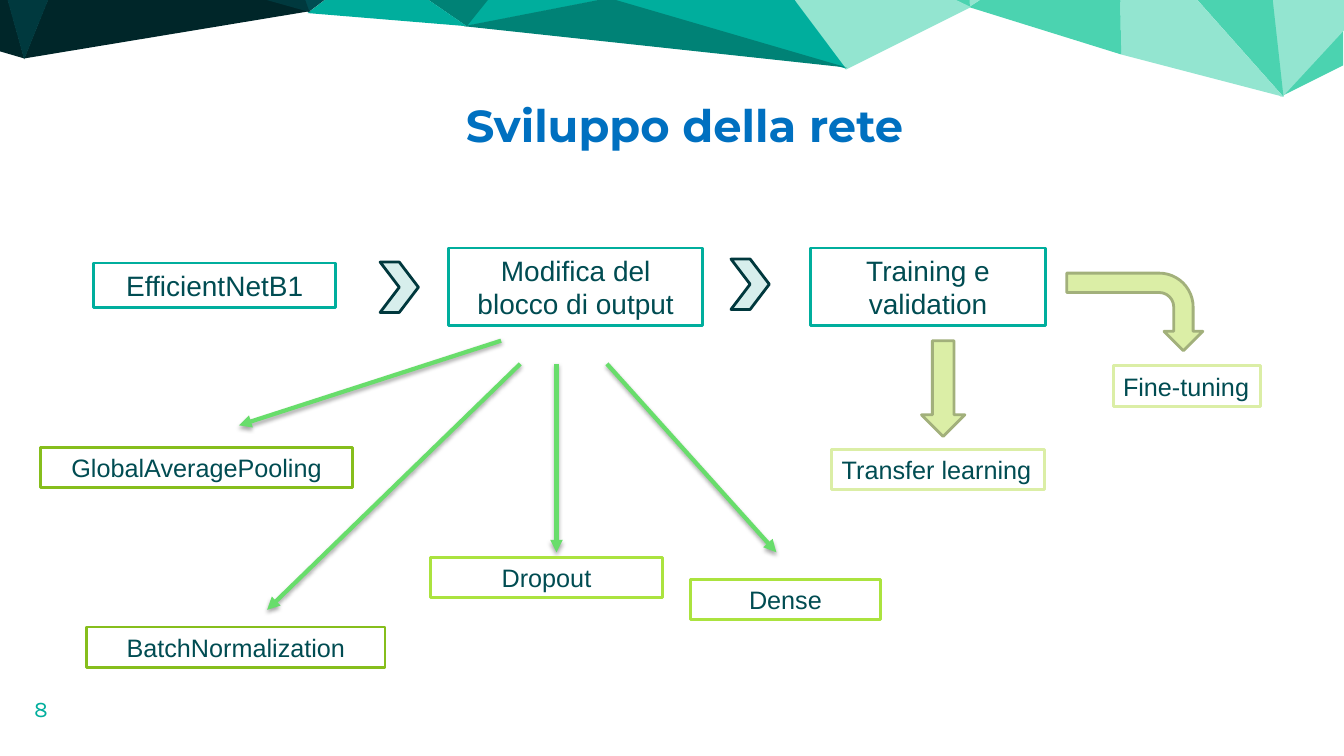
from lxml.etree import SubElement
from pptx import Presentation
from pptx.dml.color import RGBColor
from pptx.enum.shapes import MSO_CONNECTOR, MSO_SHAPE
from pptx.enum.text import MSO_ANCHOR, PP_ALIGN
from pptx.oxml.ns import qn
from pptx.util import Inches, Pt

WHITE = RGBColor(0xFF, 0xFF, 0xFF)
BLUE = RGBColor(0x00, 0x70, 0xC0)
TEAL = RGBColor(0x00, 0xAE, 0x9D)
DEEP_TEAL = RGBColor(0x00, 0x82, 0x76)
PETROL = RGBColor(0x00, 0x4C, 0x52)
DARK = RGBColor(0x00, 0x39, 0x3E)
DARKEST = RGBColor(0x00, 0x26, 0x29)
MINT = RGBColor(0x4B, 0xD3, 0xB0)
PALE_MINT = RGBColor(0x93, 0xE5, 0xD0)
CHEVRON_FILL = RGBColor(0xD7, 0xEE, 0xEC)
CHEVRON_LINE = RGBColor(0x00, 0x38, 0x3D)
PALE_LIME = RGBColor(0xDB, 0xEE, 0xA6)
OLIVE = RGBColor(0xA2, 0xB0, 0x7B)
GREEN = RGBColor(0x68, 0xDD, 0x6B)
MOSS = RGBColor(0x86, 0xBE, 0x1C)
LIME = RGBColor(0xAB, 0xE3, 0x3F)

prs = Presentation()
prs.slide_width, prs.slide_height = Inches(13.33), Inches(7.5)
s = prs.slides.add_slide(prs.slide_layouts[5])


def write(sp, text, font, size, color, align, inset=None, bold=False):
    """Put one formatted paragraph into a shape."""
    tf = sp.text_frame
    tf.word_wrap = True
    tf.vertical_anchor = MSO_ANCHOR.MIDDLE
    if inset is not None:
        tf.margin_left = tf.margin_right = Inches(inset)
        tf.margin_top = tf.margin_bottom = Inches(inset)
    p = tf.paragraphs[0]
    p.text, p.alignment = text, align
    f = p.runs[0].font
    f.name, f.size, f.bold, f.color.rgb = font, Pt(size), bold, color


def add_preset(kind, x, y, w, h, fill, line):
    """Add a preset shape with a flat fill and a 2 pt outline."""
    sp = s.shapes.add_shape(kind, Inches(x), Inches(y), Inches(w), Inches(h))
    sp.shadow.inherit = False
    sp.fill.solid()
    sp.fill.fore_color.rgb = fill
    sp.line.color.rgb = line
    sp.line.width = Pt(2)
    return sp


# Title
title = s.shapes.title
title.left, title.top = Inches(1.48), Inches(0.83)
title.width, title.height = Inches(10.75), Inches(0.81)
write(title, "Sviluppo della rete ", "Montserrat", 32, BLUE,
      PP_ALIGN.CENTER, 0.13, True)

# Faceted header band, in hundredths of an inch
facets = [
    (MINT, [(1270, 96), (1332, 65), (1332, 30)]),
    (PALE_MINT, [(1254, -66), (1272, 96), (1333, 30), (1333, -66)]),
    (MINT, [(1129, -66), (1273, 96), (1255, -66)]),
    (PALE_MINT, [(1110, -66), (1112, 54), (1273, 96), (1129, -66)]),
    (MINT, [(1074, -66), (961, 7), (1112, 54), (1110, -66)]),
    (PALE_MINT, [(957, -66), (961, 7), (1075, -66)]),
    (MINT, [(809, -66), (962, 7), (958, -66)]),
    (PALE_MINT, [(738, -66), (839, 69), (963, 7), (810, -66)]),
    (TEAL, [(655, -67), (603, -1), (839, 68), (738, -67)]),
    (TEAL, [(606, -2), (532, -61), (462, 26)]),
    (DEEP_TEAL, [(533, -61), (371, -37), (463, 26)]),
    (TEAL, [(463, 26), (371, -37), (305, 13)]),
    (PETROL, [(277, -69), (306, 12), (372, -38), (324, -69)]),
    (DARKEST, [(308, 11), (70, -56), (24, 58)]),
    (DARK, [(119, -69), (69, -55), (307, 12), (278, -69)]),
    (DARKEST, [(0, 51), (24, 58), (0, -29)]),
    (DARK, [(0, -69), (0, -27), (24, 59), (70, -55), (40, -69)]),
    (DEEP_TEAL, [(840, 67), (460, 26), (604, -2)]),
]
for color, points in facets:
    outline = s.shapes.build_freeform(*points[0], scale=Inches(0.01))
    outline.add_line_segments(points[1:], close=True)
    facet = outline.convert_to_shape()
    facet.shadow.inherit = False
    facet.fill.solid()
    facet.fill.fore_color.rgb = color
    facet.line.fill.background()

# Slide number
number = s.shapes.add_textbox(Inches(0.24), Inches(6.81), Inches(0.6), Inches(0.43))
write(number, "8", "Karla", 16, TEAL, PP_ALIGN.LEFT, 0.1)

# Arrows from the output block to its layers
for x1, y1, x2, y2 in [(4.97, 3.38, 2.37, 4.22), (5.16, 3.61, 2.65, 6.05),
                       (5.52, 3.61, 5.52, 5.48), (6.02, 3.61, 7.7, 5.48)]:
    arrow = s.shapes.add_connector(MSO_CONNECTOR.STRAIGHT, Inches(x1), Inches(y1),
                                   Inches(x2), Inches(y2))
    arrow.line.color.rgb = GREEN
    arrow.line.width = Pt(3)
    SubElement(arrow.line._get_or_add_ln(), qn("a:tailEnd"), type="triangle")
    effects = SubElement(arrow._element.spPr, qn("a:effectLst"))
    shadow = SubElement(effects, qn("a:outerShdw"), blurRad=str(Pt(3.1)),
                        dist=str(Pt(1.8)), dir="5400000", rotWithShape="0")
    black = SubElement(shadow, qn("a:srgbClr"), val="000000")
    SubElement(black, qn("a:alpha"), val="35000")

# Chevrons between the steps, block arrows to the training modes
for x, y in [(3.77, 2.6), (7.25, 2.57)]:
    add_preset(MSO_SHAPE.CHEVRON, x, y, 0.38, 0.5, CHEVRON_FILL, CHEVRON_LINE)
bent = add_preset(MSO_SHAPE.BENT_ARROW, 10.87, 2.42, 0.77, 1.35, PALE_LIME, OLIVE)
bent.rotation = 90
add_preset(MSO_SHAPE.DOWN_ARROW, 9.14, 3.38, 0.43, 0.95, PALE_LIME, OLIVE)

# Labelled boxes: steps, training modes, layers
boxes = [
    ("EfficientNetB1", 0.93, 2.61, 2.4, 0.44, TEAL, 20),
    ("Modifica del blocco di output", 4.45, 2.46, 2.52, 0.77, TEAL, 20),
    ("Training e validation", 8.04, 2.46, 2.33, 0.77, TEAL, 20),
    ("Fine-tuning", 11.04, 3.63, 1.46, 0.4, PALE_LIME, 18),
    ("Transfer learning", 8.25, 4.46, 2.11, 0.4, PALE_LIME, 18),
    ("GlobalAveragePooling", 0.4, 4.44, 3.1, 0.4, MOSS, 18),
    ("BatchNormalization", 0.86, 6.22, 2.96, 0.4, MOSS, 18),
    ("Dropout", 4.27, 5.53, 2.3, 0.4, LIME, 18),
    ("Dense", 6.85, 5.75, 1.88, 0.4, LIME, 18),
]
for text, x, y, w, h, line, size in boxes:
    box = add_preset(MSO_SHAPE.RECTANGLE, x, y, w, h, WHITE, line)
    is_mode = line == PALE_LIME
    write(box, text, "Arial", size, PETROL,
          PP_ALIGN.LEFT if is_mode else PP_ALIGN.CENTER)
    box.text_frame.word_wrap = not is_mode

prs.save("out.pptx")
